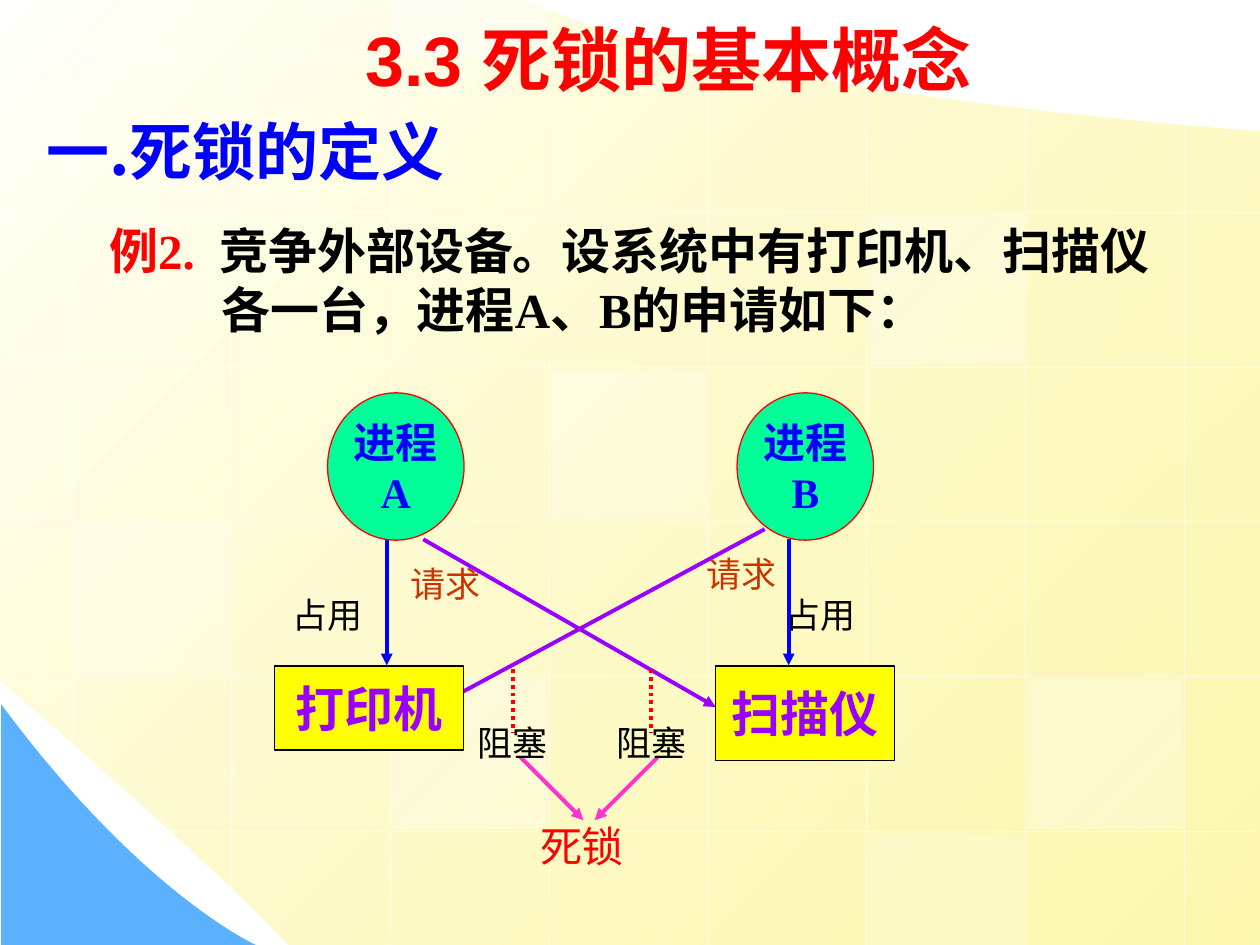
from lxml.etree import SubElement
from pptx import Presentation
from pptx.dml.color import RGBColor
from pptx.enum.dml import MSO_LINE
from pptx.enum.shapes import MSO_CONNECTOR, MSO_SHAPE
from pptx.enum.text import MSO_ANCHOR, PP_ALIGN
from pptx.oxml.ns import qn
from pptx.util import Pt

COLORS = {k: RGBColor.from_string(v) for k, v in {
    "white": "FFFFFF", "cream": "FFFFFB", "straw": "FDF58D", "sky": "5CB1FE",
    "red": "FF0000", "blue": "0000FF", "black": "000000", "yellow": "FFFF00",
    "green": "00FF99", "purple": "9900FF", "rust": "CC3300", "pink": "FF33CC",
}.items()}
SERIF = "Times New Roman"

prs = Presentation()
prs.slide_width, prs.slide_height = Pt(720), Pt(540)
slide = prs.slides.add_slide(prs.slide_layouts[6])
shapes = slide.shapes
translucent = []  # (colour element, opacity in percent)


def write(s, paragraphs, size, bold=False, font=SERIF, align=PP_ALIGN.CENTER,
          anchor=MSO_ANCHOR.MIDDLE, wrap=False):
    """Fill a shape with paragraphs, each a list of (text, colour) runs."""
    tf = s.text_frame
    tf.word_wrap, tf.vertical_anchor = wrap, anchor
    for i, runs in enumerate(paragraphs):
        p = tf.add_paragraph() if i else tf.paragraphs[0]
        p.alignment = align
        for text, color in runs:
            r = p.add_run()
            r.text = text
            r.font.size, r.font.bold, r.font.name = Pt(size), bold, font
            r.font.color.rgb = COLORS[color]
    return tf


def draw_line(x1, y1, x2, y2, color, width=2.25, arrow=False):
    s = shapes.add_connector(MSO_CONNECTOR.STRAIGHT, Pt(x1), Pt(y1), Pt(x2), Pt(y2))
    s.line.color.rgb, s.line.width = COLORS[color], Pt(width)
    if arrow:
        SubElement(s._element.spPr.find(qn("a:ln")), qn("a:tailEnd"), type="triangle")
    SubElement(s._element.spPr, qn("a:effectLst"))
    return s


# Background areas: a point pair is a straight side, six numbers are a Bézier curve
OUTLINES = [
    ("straw", (720, 74.9), [(720, 540), (165.6, 540),
                            (103.7, 475.9, -0.7, 388.1, 0, 388.1), (-0.7, -0.7),
                            (303.1, 0.7), (303.1, 0.7, 386.6, 49.7, 720, 74.9)]),
    ("sky", (0.7, 402.5), [(0.7, 540), (146.2, 540),
                           (146.2, 540, 80.6, 510.5, 0.7, 402.5)]),
]
STEPS = 30
for color, start, sides in OUTLINES:
    points = [start]
    for side in sides:
        if len(side) == 2:
            points.append(side)
            continue
        corners = [points[-1], side[:2], side[2:4], side[4:]]
        for n in range(1, STEPS + 1):
            t = n / STEPS
            weights = ((1 - t) ** 3, 3 * t * (1 - t) ** 2, 3 * t * t * (1 - t), t ** 3)
            points.append(tuple(sum(w * c[axis] for w, c in zip(weights, corners))
                                for axis in (0, 1)))
    points = [(Pt(x), Pt(y)) for x, y in points]
    builder = shapes.build_freeform(*points[0], scale=1.0)
    builder.add_line_segments(points[1:], close=True)
    s = builder.convert_to_shape()
    s.shadow.inherit = False
    s.line.fill.background()
    if color == "straw":
        s.fill.gradient()
        s.fill.gradient_angle = 315
        for stop, name in zip(s.fill.gradient_stops, ("cream", "straw")):
            stop.color.rgb = COLORS[name]
        translucent.append((list(s._element.iter(qn("a:srgbClr")))[-1], 70))
    else:
        s.fill.solid()
        s.fill.fore_color.rgb = COLORS[color]

# Background grid
GRID_X, GRID_Y, STEP_X, STEP_Y = 41.8, 33.1, 90.7, 88.4
column_spans = [(0, 438.5), (0, 517.7), (0, 540), (0, 540),
                (31, 540), (49, 540), (61.2, 540), (70.6, 540)]
row_spans = [(0, 409)] + [(0, 720)] * 4 + [(79.9, 717.8)]
grid = [(GRID_X + i * STEP_X, top, GRID_X + i * STEP_X, bottom)
        for i, (top, bottom) in enumerate(column_spans)]
grid += [(left, GRID_Y + i * STEP_Y, right, GRID_Y + i * STEP_Y)
         for i, (left, right) in enumerate(row_spans)]
for ends in grid:
    s = draw_line(*ends, "white", 0.75)
    translucent.append((next(s._element.iter(qn("a:srgbClr"))), 50))

# Lighter grid cells: column, row, opacity
for column, row, opacity in [(3, 2, 25), (6, 4, 30), (0, 3, 20), (5, 5, 20),
                             (2, -1, 40), (2, 4, 30), (5, 1, 30)]:
    top = max(0, GRID_Y + row * STEP_Y + 1.5)
    bottom = min(540, GRID_Y + (row + 1) * STEP_Y - 1.5)
    s = shapes.add_shape(MSO_SHAPE.RECTANGLE, Pt(GRID_X + column * STEP_X + 1.2),
                         Pt(top), Pt(88.6), Pt(bottom - top))
    s.shadow.inherit = False
    s.line.fill.background()
    s.fill.solid()
    s.fill.fore_color.rgb = COLORS["white"]
    translucent.append((next(s._element.iter(qn("a:srgbClr"))), opacity))

for color_element, opacity in translucent:
    SubElement(color_element, qn("a:alpha"), val=str(opacity * 1000))

# Example text with a hanging indent
s = shapes.add_textbox(Pt(55.4), Pt(122.4), Pt(617), Pt(74.2))
tf = write(s, [[("例2.", "red"), (" ", "red"),
                ("竞争外部设备。设系统中有打印机、扫描仪各一台，进程A、B的申请如下：", "black")]],
           28, True, align=PP_ALIGN.LEFT, anchor=MSO_ANCHOR.TOP, wrap=True)
p = tf.paragraphs[0]
pPr = p._p.get_or_add_pPr()
pPr.set("marL", str(Pt(64)))
pPr.set("indent", str(Pt(-64)))
p.runs[1]._r.get_or_add_rPr().set("spc", "700")

# Arrows (occupy, request, deadlock), beneath the processes and devices
for x1, y1, x2, y2, color in [
    (221, 308.2, 221, 380.2, "blue"), (450.7, 308.2, 450.7, 380.2, "blue"),
    (241.9, 308.2, 409, 404, "purple"), (437, 302.4, 257.8, 398.9, "purple"),
    (297.4, 432.7, 333.4, 468.7, "pink"), (375.8, 432.7, 339.8, 468.7, "pink"),
]:
    draw_line(x1, y1, x2, y2, color, arrow=True)

for x in (293, 372.2):
    draw_line(x, 382.3, x, 418.3, "red").line.dash_style = MSO_LINE.ROUND_DOT

# Processes and devices
for kind, x, y, w, h, lines, size, fill, border, color in [
    (MSO_SHAPE.RECTANGLE, 409, 380.6, 102.2, 54, ["扫描仪"], 28, "yellow", "black", "purple"),
    (MSO_SHAPE.OVAL, 187.2, 224.5, 78, 84.2, ["进程", "A"], 24, "green", "red", "blue"),
    (MSO_SHAPE.OVAL, 421.2, 224.5, 78, 84.2, ["进程", "B"], 24, "green", "red", "blue"),
    (MSO_SHAPE.RECTANGLE, 157, 380.6, 108, 48, ["打印机"], 28, "yellow", "black", "purple"),
]:
    s = shapes.add_shape(kind, Pt(x), Pt(y), Pt(w), Pt(h))
    s.shadow.inherit = False
    s.fill.solid()
    s.fill.fore_color.rgb = COLORS[fill]
    s.line.color.rgb, s.line.width = COLORS[border], Pt(0.75)
    write(s, [[(line, color)] for line in lines], size, True)

# Labels, centred on x and just wide enough for one line
for text, x, y, h, size, color in [
    ("占用", 187.2, 329.8, 43.2, 20, "black"),
    ("占用", 468.7, 329.8, 43.2, 20, "black"),
    ("请求", 254.9, 314.6, 38.2, 20, "rust"),
    ("请求", 423.7, 308.9, 38.2, 20, "rust"),
    ("阻塞", 293, 406.1, 36, 20, "black"),
    ("阻塞", 372.2, 406.1, 36, 20, "black"),
    ("死锁", 332.6, 461.5, 43.2, 24, "red"),
]:
    w = len(text) * size + 4
    s = shapes.add_textbox(Pt(x - w / 2), Pt(y), Pt(w), Pt(h))
    tf = write(s, [[(text, color)]], size)
    tf.margin_left = tf.margin_right = 0

# Headings
for text, x, y, w, h, size, font, color in [
    ("一.死锁的定义", 19.4, 60.5, 648, 51.1, 36, "Noto Sans CJK SC", "blue"),
    ("3.3 死锁的基本概念", 201.6, 5.8, 380.2, 54.7, 40, "Arial", "red"),
]:
    s = shapes.add_textbox(Pt(x), Pt(y), Pt(w), Pt(h))
    write(s, [[(text, color)]], size, True, font, PP_ALIGN.LEFT, wrap=True)

prs.save("out.pptx")
